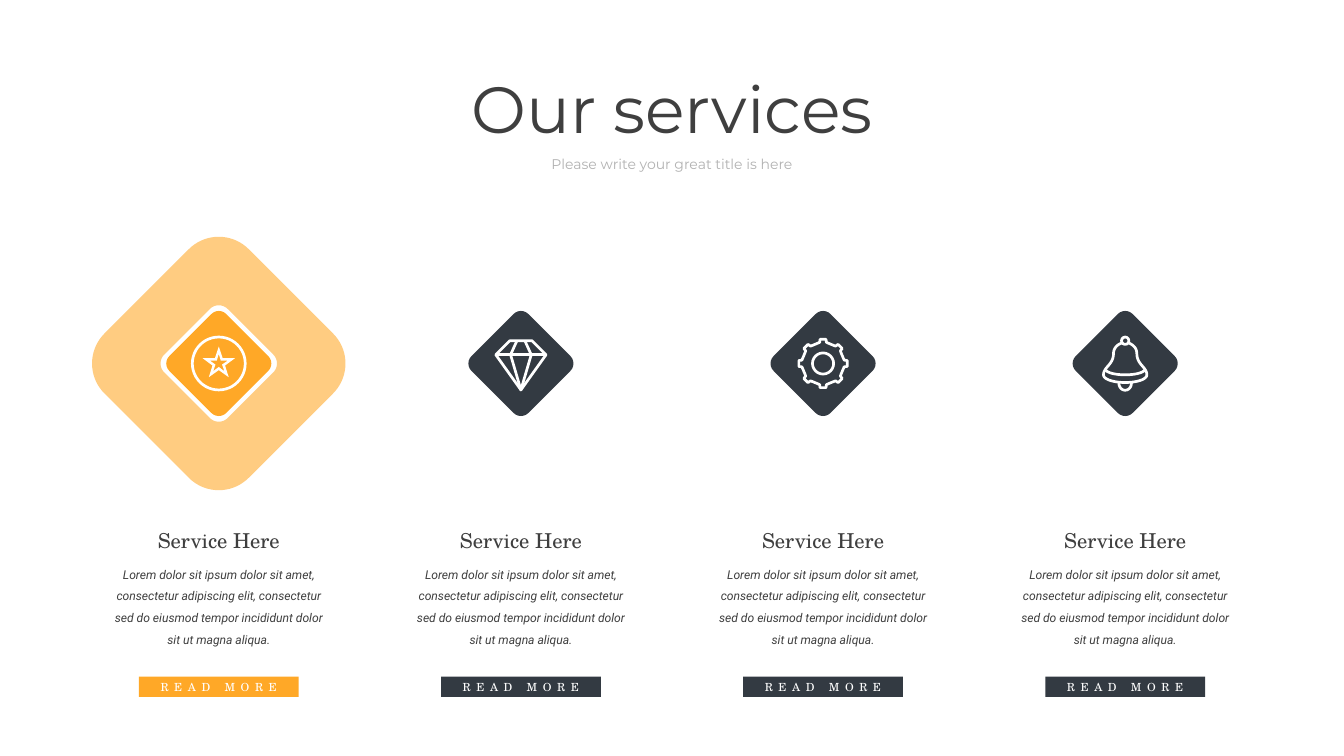
import math

import lxml.etree
import pptx
import pptx.dml.color
import pptx.enum.shapes
import pptx.enum.text
import pptx.oxml.ns
import pptx.util

Cm = pptx.util.Cm
Pt = pptx.util.Pt
SHAPES = pptx.enum.shapes.MSO_SHAPE
ANCHORS = pptx.enum.text.MSO_ANCHOR

COLORS = {
    "accent": "FFA827",
    "dark": "333A42",
    "text": "3F3F3F",
    "muted": "B2B2B2",
    "white": "FFFFFF",
}
DESCRIPTION = (
    "Lorem dolor sit ipsum dolor sit amet, consectetur adipiscing elit, "
    "consectetur sed do eiusmod tempor incididunt dolor sit ut magna aliqua."
)
ICON_STROKE = 2.9


def rgb(name):
    return pptx.dml.color.RGBColor.from_string(COLORS[name])


def paint(shape, fill=None, line=None):
    shape.shadow.inherit = False
    if fill:
        shape.fill.solid()
        shape.fill.fore_color.rgb = rgb(fill)
    else:
        shape.fill.background()
    if line:
        shape.line.color.rgb = rgb(line)
        shape.line.width = Pt(ICON_STROKE)
    else:
        shape.line.fill.background()


def write(shape, text, font, size, color, italic=False, line_spacing=None, tracking=None):
    frame = shape.text_frame
    frame.word_wrap = True
    frame.margin_left = frame.margin_right = Cm(0.1)
    paragraph = frame.paragraphs[0]
    paragraph.alignment = pptx.enum.text.PP_ALIGN.CENTER
    paragraph.line_spacing = line_spacing
    run = paragraph.add_run()
    run.text = text
    run.font.name = font
    run.font.size = Pt(size)
    run.font.italic = italic
    run.font.color.rgb = rgb(color)
    if tracking:
        run.font._element.set("spc", str(tracking * 100))


def add_text(slide, left, top, width, height, *content, **style):
    label = slide.shapes.add_textbox(Cm(left), Cm(top), Cm(width), Cm(height))
    write(label, *content, **style)


def add_outline(slide, center, contours, fill=None, line=None, close=True):
    placed = [[(Cm(center[0] + x), Cm(center[1] + y)) for x, y in c] for c in contours]
    builder = slide.shapes.build_freeform(*placed[0][0])
    for index, points in enumerate(placed):
        if index:
            builder.move_to(*points[0])
        builder.add_line_segments(points[1:], close=close)
    outline = builder.convert_to_shape()
    paint(outline, fill, line)
    return outline


def add_ring(slide, center, radius):
    ring = slide.shapes.add_shape(
        SHAPES.OVAL, Cm(center[0] - radius), Cm(center[1] - radius),
        Cm(2 * radius), Cm(2 * radius))
    paint(ring, line="white")


def polar(radius, degrees):
    angle = math.radians(degrees)
    return radius * math.sin(angle), -radius * math.cos(angle)


def curve(start, *segments, steps=12):
    points = [start]
    for control_1, control_2, end in segments:
        anchors = (points[-1], control_1, control_2, end)
        for step in range(1, steps + 1):
            t = step / steps
            weights = ((1 - t) ** 3, 3 * t * (1 - t) ** 2, 3 * t * t * (1 - t), t ** 3)
            points.append(tuple(
                sum(w * p[axis] for w, p in zip(weights, anchors)) for axis in (0, 1)))
    return points


def rounded_diamond(extent, radius):
    points = []
    for corner in range(0, 360, 90):
        x, y = polar(extent - radius, corner)
        for degrees in range(corner - 45, corner + 46, 5):
            dx, dy = polar(radius, degrees)
            points.append((x + dx, y + dy))
    return points


def star_icon(slide, center):
    def star(outer, inner):
        return [polar(inner if i % 2 else outer, 36 * i) for i in range(10)]

    add_ring(slide, center, 1)
    add_outline(slide, center, [star(0.64, 0.25), star(0.36, 0.13)], fill="white")


def gem_icon(slide, center):
    crown = [(-0.42, -0.86), (0.42, -0.86), (0.95, -0.33), (0, 1), (-0.95, -0.33)]
    facets = [(-0.15, -0.86), (-0.39, -0.33), (0, 1), (0.39, -0.33), (0.15, -0.86)]
    girdle = [(-0.95, -0.33), (0.95, -0.33)]
    add_outline(slide, center, [crown + crown[:1], facets, girdle], line="white", close=False)


def gear_icon(slide, center):
    tooth = [(-16, 0.79), (-9, 0.81), (-7, 0.92), (7, 0.92), (9, 0.81), (16, 0.79)]
    rim = [polar(radius, turn + degrees)
           for turn in range(0, 360, 45) for degrees, radius in tooth]
    add_outline(slide, center, [rim], line="white")
    add_ring(slide, center, 0.4)


def bell_icon(slide, center):
    side = curve(
        (-0.14, -0.77),
        ((-0.3, -0.71), (-0.44, -0.58), (-0.44, -0.38)),
        ((-0.44, 0.05), (-0.82, 0.13), (-0.82, 0.43)),
        ((-0.82, 0.61), (-0.41, 0.72), (0, 0.72)))
    body = side + [(-x, y) for x, y in reversed(side[:-1])]
    lip = curve((-0.74, 0.25), ((-0.56, 0.49), (0.56, 0.49), (0.74, 0.25)))
    clapper = curve((-0.24, 0.72), ((-0.24, 1.11), (0.24, 1.11), (0.24, 0.72)))
    add_outline(slide, center, [body, lip, clapper], line="white", close=False)
    add_ring(slide, (center[0], center[1] - 0.86), 0.14)


def add_halo(slide, center):
    halo = add_outline(
        slide, center, [rounded_diamond(4.79, 1.6), rounded_diamond(2.2, 0.48)], fill="accent")
    color = halo._element.spPr.find(
        pptx.oxml.ns.qn("a:solidFill") + "/" + pptx.oxml.ns.qn("a:srgbClr"))
    lxml.etree.SubElement(color, pptx.oxml.ns.qn("a:alpha"), val="58000")


def add_tile(slide, center, color, side=3.04):
    tile = slide.shapes.add_shape(
        SHAPES.ROUNDED_RECTANGLE, Cm(center[0] - side / 2), Cm(center[1] - side / 2),
        Cm(side), Cm(side))
    tile.adjustments[0] = 0.13
    tile.rotation = 45
    paint(tile, color)


def add_button(slide, left, top, width, height, color):
    button = slide.shapes.add_shape(SHAPES.RECTANGLE, Cm(left), Cm(top), Cm(width), Cm(height))
    paint(button, color)
    button.text_frame.vertical_anchor = ANCHORS.MIDDLE
    write(button, "READ MORE", "TeX Gyre Schola", 12, "white", tracking=6)


def add_service(slide, left, top, width, icon, featured):
    middle = left + width / 2
    center = (middle, top + width / 2)
    color = "accent" if featured else "dark"
    if featured:
        add_halo(slide, center)
    add_tile(slide, center, color)
    icon(slide, center)
    add_text(slide, middle - 3.86, top + 10.9, 7.72, 1.19,
             "Service Here", "TeX Gyre Schola", 22, "text")
    add_text(slide, middle - 4.2, top + 12.08, 8.4, 3.58,
             DESCRIPTION, "Roboto", 13, "text", italic=True, line_spacing=1.5)
    add_button(slide, middle - 3.02, top + 16.63, 6.04, 0.76, color)


def add_heading(slide, left, top, width):
    add_text(slide, left, top, width, 3.25, "Our services", "Montserrat", 70, "text")
    add_text(slide, left, top + 3.28, width, 0.89,
             "Please write your great title is here", "Montserrat", 15, "muted")


def main():
    deck = pptx.Presentation()
    deck.slide_width = Cm(50.8)
    deck.slide_height = Cm(28.575)
    slide = deck.slides.add_slide(deck.slide_layouts[6])
    add_heading(slide, 8.25, 2.46, 34.3)
    for column, icon in enumerate((star_icon, gem_icon, gear_icon, bell_icon)):
        add_service(slide, 3.48 + 11.42 * column, 8.95, 9.58, icon, featured=column == 0)
    deck.save("out.pptx")


if __name__ == "__main__":
    main()
